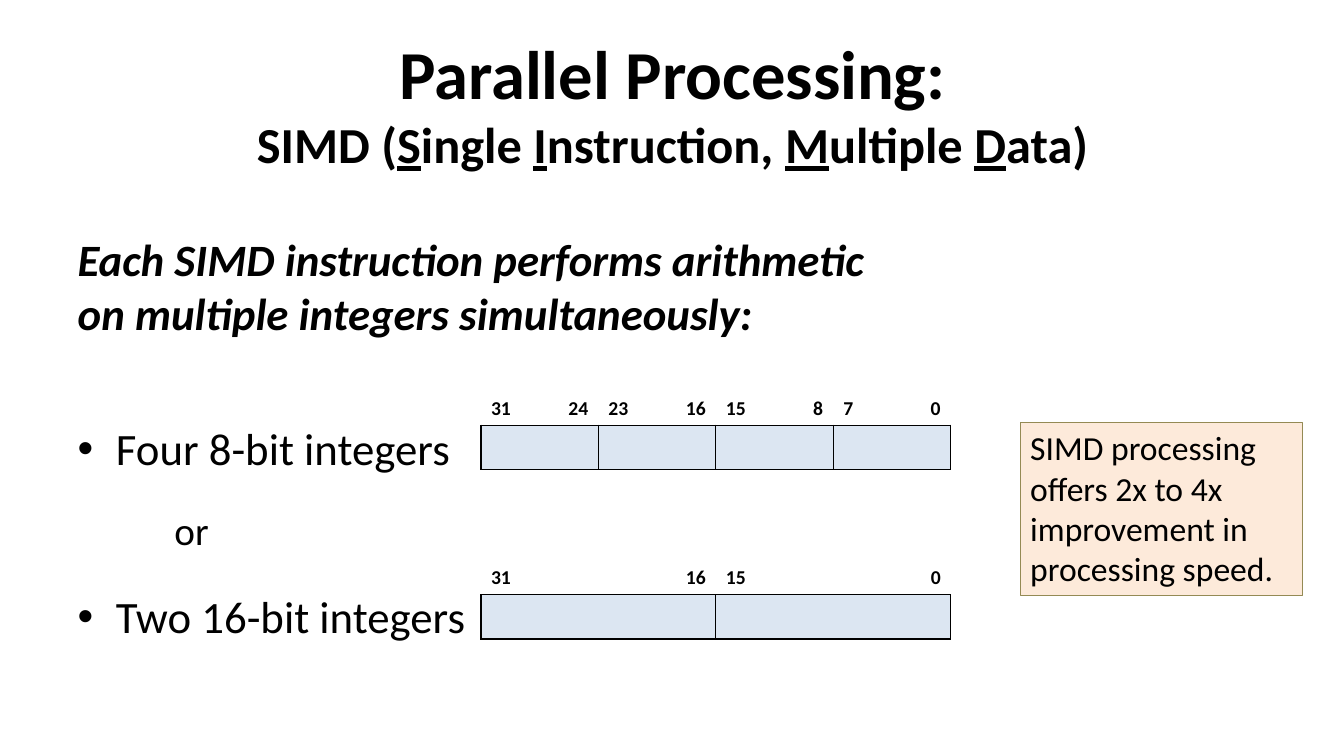
"""Build a slide on SIMD parallel processing."""
from lxml.etree import SubElement
from pptx import Presentation
from pptx.dml.color import RGBColor
from pptx.enum.shapes import MSO_SHAPE
from pptx.enum.text import MSO_ANCHOR, MSO_AUTO_SIZE, PP_ALIGN
from pptx.oxml.ns import qn
from pptx.util import Inches, Pt

HEAD = "Parallel Processing:"
WORDS = ["SIMD (", "Single ", "Instruction, ", "Multiple ", "Data)"]
LEAD = "Each SIMD instruction performs arithmetic \von multiple integers simultaneously:"
BODY = [
    (LEAD, "lead", dict(space_before=Pt(0)), 0, 0, None),
    ("Four 8-bit integers", "item", dict(space_before=Pt(39), line_spacing=1.5), 0.38, -0.38, "•"),
    ("or", "or", dict(level=1, space_before=Pt(5.6), line_spacing=1.5), 0.96, 0, None),
    ("Two 16-bit integers", "item", dict(space_before=Pt(6.4), line_spacing=1.5), 0.38, -0.38, "•"),
]
WORD_MAPS = [
    (3.78, ["31", "24", "23", "16", "15", "8", "7", "0"]),
    (5.46, ["31", "16", "15", "0"]),
]
NOTE = "SIMD processing offers 2x to 4x improvement in processing speed."

TITLE_BOX = (0.67, 0, 12, 2.02)
BODY_BOX = (0.67, 2.25, 10.33, 4.49)
NOTE_BOX = (10.12, 4.19, 2.8, 1.72)
MAP_LEFT, MAP_WIDTH, ROW = 4.77, 4.66, 0.44

THEME = dict(
    ink="000000", field="DCE6F2", note="FDEADA", edge="948A54", font="Calibri",
    type=dict(
        head=dict(size=Pt(49), bold=True),
        sub=dict(size=Pt(36), bold=True),
        lead=dict(size=Pt(32), bold=True, italic=True),
        item=dict(size=Pt(32), bold=False),
        bit=dict(size=Pt(14), bold=True),
        note=dict(size=Pt(24), bold=False),
    ),
)
THEME["type"]["or"] = dict(size=Pt(28), bold=False)


def tone(key):
    return RGBColor.from_string(THEME[key])


def put(item, form):
    for name, value in form.items():
        setattr(item, name, value)


def style(font, kind):
    put(font, dict(THEME["type"][kind], name=THEME["font"]))
    font.color.rgb = tone("ink")


def place(shape, box):
    put(shape, dict(zip(("left", "top", "width", "height"), map(Inches, box))))


def write(para, text, kind, line=None):
    run = para.add_run()
    run.text = text
    style(run.font, kind)
    run.font.underline = line


def add_title(shape):
    place(shape, TITLE_BOX)
    put(shape.text_frame, dict(auto_size=MSO_AUTO_SIZE.NONE, vertical_anchor=MSO_ANCHOR.MIDDLE))
    para = shape.text_frame.paragraphs[0]
    para.alignment = PP_ALIGN.CENTER
    write(para, HEAD, "head")
    para.add_line_break()
    write(para, WORDS[0], "sub")
    for word in WORDS[1:]:
        write(para, word[0], "sub", True)
        write(para, word[1:], "sub")


def add_body(shape):
    place(shape, BODY_BOX)
    frame = shape.text_frame
    frame.auto_size = MSO_AUTO_SIZE.NONE
    for spot, (text, kind, form, left, hang, mark) in enumerate(BODY):
        para = frame.add_paragraph() if spot else frame.paragraphs[0]
        put(para, form)
        for part, piece in enumerate(text.split("\v")):
            if part:
                para.add_line_break()
            write(para, piece, kind)
        props = para._p.get_or_add_pPr()
        props.set("marL", str(Inches(left)))
        props.set("indent", str(Inches(hang)))
        if mark:
            SubElement(props, qn("a:buChar"), char=mark)
        else:
            SubElement(props, qn("a:buNone"))


def edge(cell, sides):
    props = cell._tc.get_or_add_tcPr()
    for side in sides:
        line = SubElement(props, qn("a:ln" + side), w=str(Pt(1)))
        fill = SubElement(line, qn("a:solidFill"))
        SubElement(fill, qn("a:srgbClr"), val=THEME["ink"])


def add_map(slide, top, bits):
    count = len(bits)
    box = map(Inches, (MAP_LEFT, top, MAP_WIDTH, 2 * ROW))
    table = slide.shapes.add_table(2, count, *box).table
    put(table, dict(first_row=False, horz_banding=False))
    for col, bit in enumerate(bits):
        table.columns[col].width = Inches(MAP_WIDTH / count)
        label, field = table.cell(0, col), table.cell(1, col)
        label.vertical_anchor = MSO_ANCHOR.BOTTOM
        para = label.text_frame.paragraphs[0]
        para.alignment = PP_ALIGN.RIGHT if col % 2 else PP_ALIGN.LEFT
        write(para, bit, "bit")
        edge(label, "B")
        label.fill.background()
        edge(field, "LRTB")
        field.fill.solid()
        field.fill.fore_color.rgb = tone("field")
    for col in range(0, count, 2):
        table.cell(1, col).merge(table.cell(1, col + 1))


def add_note(slide):
    shape = slide.shapes.add_shape(MSO_SHAPE.RECTANGLE, *map(Inches, NOTE_BOX))
    shape.shadow.inherit = False
    shape.fill.solid()
    shape.fill.fore_color.rgb = tone("note")
    shape.line.color.rgb = tone("edge")
    shape.line.width = Pt(0.75)
    put(shape.text_frame, dict(word_wrap=True, vertical_anchor=MSO_ANCHOR.TOP))
    para = shape.text_frame.paragraphs[0]
    para.alignment = PP_ALIGN.LEFT
    write(para, NOTE, "note")


def main():
    deck = Presentation()
    put(deck, dict(slide_width=Inches(13.33), slide_height=Inches(7.5)))
    slide = deck.slides.add_slide(deck.slide_layouts[1])
    add_title(slide.shapes.title)
    add_body(slide.placeholders[1])
    for top, bits in WORD_MAPS:
        add_map(slide, top, bits)
    add_note(slide)
    deck.save("out.pptx")


if __name__ == "__main__":
    main()
